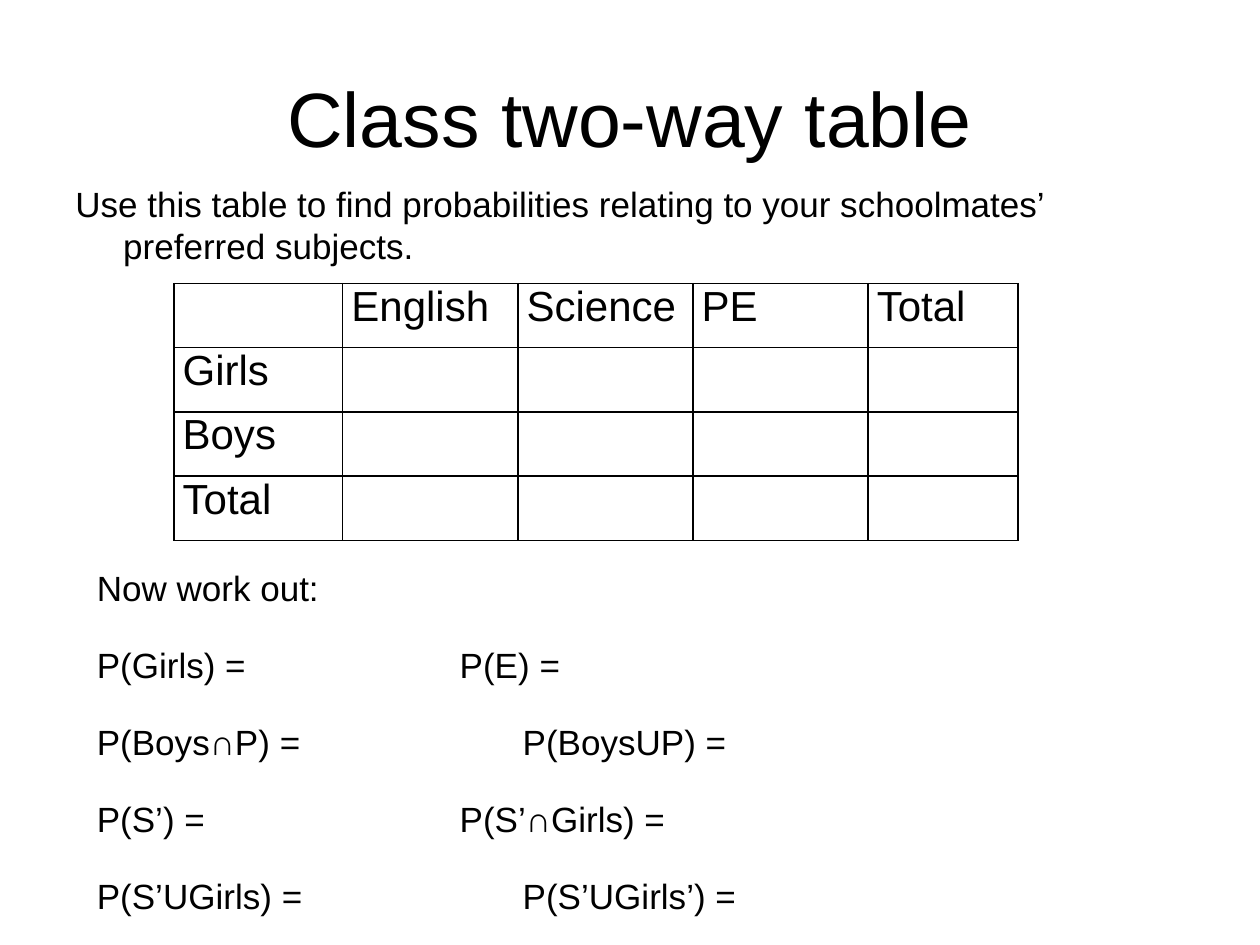
from lxml.etree import SubElement
from pptx import Presentation
from pptx.dml.color import RGBColor
from pptx.enum.text import MSO_ANCHOR, PP_ALIGN
from pptx.oxml.ns import qn
from pptx.util import Inches, Pt

THEME = {
    "font": "Arial",
    "ink": "000000",
    "title": Pt(44),
    "table": Pt(24),
    "body": Pt(20),
    "border": Pt(1),
}
TITLE = ["Class two-way table"]
INTRO = ["Use this table to find probabilities relating to your schoolmates’ preferred subjects."]
COLUMNS = [("", 1.34), ("English", 1.39), ("Science", 1.39), ("PE", 1.39), ("Total", 1.19)]
ROWS = ["Girls", "Boys", "Total"]
ROW_HEIGHT = 0.51
QUESTIONS = [
    "Now work out:",
    "P(Girls) =\t\t\t\tP(E) =",
    "P(Boys∩P) =\t\t\t\tP(BoysUP) =",
    "P(S’) =\t\t\t\t\tP(S’∩Girls) =",
    "P(S’UGirls) =\t\t\t\tP(S’UGirls’) =",
]


def set_format(target, values):
    for name, value in values.items():
        setattr(target, name, value)


def style_font(font, size):
    set_format(font, {"name": THEME["font"], "size": size})
    font.color.rgb = RGBColor.from_string(THEME["ink"])


def add_text(slide, box, lines, size, layout=None, hanging=False, anchor=MSO_ANCHOR.TOP):
    shape = slide.shapes.add_textbox(*map(Inches, box))
    frame = shape.text_frame
    set_format(frame, {"word_wrap": True, "vertical_anchor": anchor})
    for index, line in enumerate(lines):
        paragraph = frame.add_paragraph() if index else frame.paragraphs[0]
        paragraph.text = line
        set_format(paragraph, layout or {})
        if index:
            paragraph.space_before = Pt(5.5)
        if hanging:
            properties = paragraph._p.get_or_add_pPr()
            properties.set("marL", str(Inches(0.38)))
            properties.set("indent", str(Inches(-0.38)))
        for run in paragraph.runs:
            style_font(run.font, size)


def add_borders(cell):
    properties = cell._tc.get_or_add_tcPr()
    for side in ("lnL", "lnR", "lnT", "lnB"):
        line = SubElement(properties, qn(f"a:{side}"), w=str(THEME["border"]))
        fill = SubElement(line, qn("a:solidFill"))
        SubElement(fill, qn("a:srgbClr"), val=THEME["ink"])


def add_subject_table(slide, left, top):
    width = sum(size for _, size in COLUMNS)
    grid = [[name for name, _ in COLUMNS]]
    grid += [[name] + [""] * (len(COLUMNS) - 1) for name in ROWS]
    box = map(Inches, (left, top, width, ROW_HEIGHT * len(grid)))
    table = slide.shapes.add_table(len(grid), len(COLUMNS), *box).table
    set_format(table, {"first_row": False, "horz_banding": False})
    for column, (_, size) in zip(table.columns, COLUMNS):
        column.width = Inches(size)
    for row, labels in zip(table.rows, grid):
        row.height = Inches(ROW_HEIGHT)
        for cell, label in zip(row.cells, labels):
            add_borders(cell)
            cell.fill.background()
            set_format(cell, {
                "text": label,
                "margin_left": Inches(0.07),
                "margin_right": Inches(0.07),
                "margin_top": 0,
                "margin_bottom": 0,
            })
            style_font(cell.text_frame.paragraphs[0].font, THEME["table"])


def main():
    presentation = Presentation()
    set_format(presentation, {"slide_width": Inches(10), "slide_height": Inches(7.5)})
    slide = presentation.slides.add_slide(presentation.slide_layouts[6])
    add_text(slide, (0.5, 0.3, 9, 1.25), TITLE, THEME["title"],
             {"alignment": PP_ALIGN.CENTER}, anchor=MSO_ANCHOR.MIDDLE)
    add_text(slide, (0.5, 1.4, 9, 0.71), INTRO, THEME["body"], hanging=True)
    add_subject_table(slide, 1.38, 2.25)
    add_text(slide, (0.67, 4.25, 8.82, 3.44), QUESTIONS, THEME["body"],
             {"line_spacing": 1.6}, hanging=True)
    presentation.save("out.pptx")


if __name__ == "__main__":
    main()
